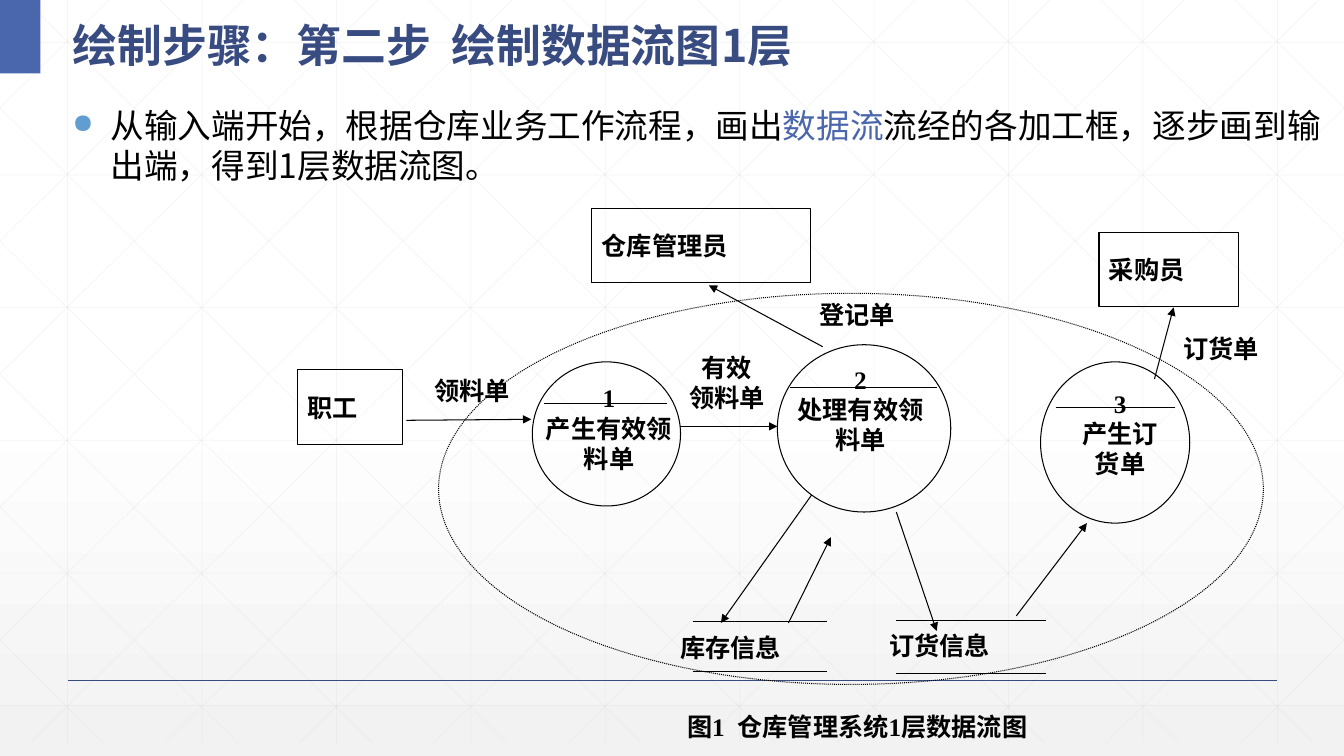
import copy

import lxml.etree
import pptx
import pptx.dml.color
import pptx.enum.dml
import pptx.enum.shapes
import pptx.enum.text
import pptx.oxml
import pptx.oxml.ns
import pptx.util

Inches = pptx.util.Inches
Pt = pptx.util.Pt
qn = pptx.oxml.ns.qn
ALIGN = pptx.enum.text.PP_ALIGN
ANCHOR = pptx.enum.text.MSO_ANCHOR
SHAPE = pptx.enum.shapes.MSO_SHAPE

# Content
WIDTH, HEIGHT = 13.33, 7.5
SANS, SERIF = "Noto Sans CJK SC", "Times New Roman"
BLACK, NAVY, BLUE, SKY, GRAY = "000000", "384C81", "4A66AC", "629DD1", "D9D9D9"

TITLE = "绘制步骤：第二步  绘制数据流图1层"
BODY = [
    ("从输入端开始，根据仓库业务工作流程，画出", BLACK),
    ("数据流", BLUE),
    ("流经的各加工框，逐步画到输出端，得到1层数据流图。", BLACK),
]
ENTITIES = [
    ("职工", (2.95, 3.67, 1.04, 0.74)),
    ("采购员", (10.9, 2.31, 1.38, 0.73)),
    ("仓库管理员", (5.87, 2.07, 2.17, 0.73)),
]
SYSTEM_BOUNDARY = (4.35, 2.91, 8.18, 3.88)
# Lines of text, text box, circle, divider (left, right, height)
PROCESSES = [
    (["1", "产生有效领料单"], (5.28, 3.52, 1.52, 1.45), (5.28, 3.59, 1.47, 1.43), (5.4, 6.62, 4)),
    (["2", "处理有效领料单"], (7.72, 3.33, 1.63, 1.46), (7.71, 3.42, 1.72, 1.66), (7.84, 9.29, 3.84)),
    (["3", "产生订", "货单"], (10.32, 3.49, 1.58, 1.62), (10.32, 3.59, 1.48, 1.6), (10.47, 11.65, 4.04)),
]
# Name, text box, rule ends, heights of the two rules
STORES = [
    ("订货信息", (8.72, 6.03, 1.77, 0.74), (8.89, 10.37), (6.16, 6.68)),
    ("库存信息", (6.65, 6.05, 1.77, 0.74), (6.87, 8.2), (6.17, 6.66)),
]
LABELS = [
    (["领料单"], (3.93, 3.66, 1.5, 0.42)),
    (["登记单 "], (7.78, 2.91, 1.5, 0.42)),
    (["订货单 "], (11.39, 3.25, 1.5, 0.42)),
    (["有效", "领料单"], (6.62, 3.58, 1.18, 0.42)),
    (["图1  仓库管理系统1层数据流图 "], (4.53, 6.91, 8, 0.59)),
]
FLOWS = [
    ((4.03, 4.17), (5.27, 4.16)),
    ((11.45, 3.76), (11.64, 3.05)),
    ((8.16, 3.44), (7.03, 2.83)),
    ((6.74, 4.23), (7.71, 4.23)),
    ((7.82, 6.18), (8.24, 5.33)),
    ((8.89, 5.08), (9.29, 6.26)),
    ((10.08, 6.11), (10.78, 5.19)),
    ((8.05, 4.91), (7.15, 6.18)),
]

deck = pptx.Presentation()
deck.slide_width, deck.slide_height = Inches(WIDTH), Inches(HEIGHT)
page = deck.slides.add_slide(deck.slide_layouts[5])


def color(value):
    return pptx.dml.color.RGBColor.from_string(value)


def add_line(start, end, line_color=BLACK, width=0.75, arrow=False, opacity=None):
    ends = [Inches(value) for value in (*start, *end)]
    line = page.shapes.add_connector(pptx.enum.shapes.MSO_CONNECTOR.STRAIGHT, *ends)
    line.line.color.rgb = color(line_color)
    line.line.width = Pt(width)
    properties = line.element.spPr
    if opacity:
        tone = properties.find(".//" + qn("a:srgbClr"))
        lxml.etree.SubElement(tone, qn("a:alpha"), val=str(opacity * 1000))
    if arrow:
        lxml.etree.SubElement(properties.find(qn("a:ln")), qn("a:tailEnd"), type="triangle")
    lxml.etree.SubElement(properties, qn("a:effectLst"))


def add_outline(kind, place, fill=None, dotted=False):
    shape = page.shapes.add_shape(kind, *map(Inches, place))
    shape.shadow.inherit = False
    if fill:
        shape.fill.solid()
        shape.fill.fore_color.rgb = color(fill)
        shape.line.fill.background()
        return shape
    shape.fill.background()
    shape.line.color.rgb = color(BLACK)
    shape.line.width = Pt(0.75)
    if dotted:
        shape.line.dash_style = pptx.enum.dml.MSO_LINE.ROUND_DOT
    return shape


def add_box(place):
    return page.shapes.add_textbox(*map(Inches, place))


def add_span(para, text, size=18, font=SERIF, text_color=BLACK, bold=True):
    span = para.add_run()
    span.text = text
    span.font.size, span.font.name, span.font.bold = Pt(size), font, bold
    span.font.color.rgb = color(text_color)
    if font == SANS:
        latin = span.font._element.find(qn("a:latin"))
        latin.addnext(latin.makeelement(qn("a:ea"), {"typeface": font}))


def write(shape, lines, align=ALIGN.CENTER, **style):
    frame = shape.text_frame
    frame.word_wrap = True
    frame.vertical_anchor = ANCHOR.MIDDLE
    for index, text in enumerate(lines):
        para = frame.add_paragraph() if index else frame.paragraphs[0]
        para.alignment = align
        add_span(para, text, **style)


# Background gradient: white to the middle, then light gray
background = page.background.fill
background.gradient()
background.gradient_angle = 270
first_stop, last_stop = background.gradient_stops
first_stop.color.rgb, first_stop.position = color("FFFFFF"), 0
last_stop.color.rgb, last_stop.position = color("F2F2F2"), 1
stops = page.background.element.find(".//" + qn("a:gsLst")) if hasattr(page.background, "element") \
    else page.element.find(".//" + qn("a:gsLst"))
middle_stop = copy.deepcopy(stops[0])
middle_stop.set("pos", "53000")
stops.insert(1, middle_stop)

# Background grid: uprights, levels and mirrored diagonals clipped to the page
FLOOR, STEP, SLOPE = 7.37, 4 / 3, 0.99
grid = []
for column in range(10):
    across = 0.67 + column * STEP
    grid.append(((across, 0), (across, FLOOR)))
for row in range(6):
    level = 0.42 + row * 1.316
    grid.append(((0, level), (WIDTH, level)))
for number in range(-5, 10):
    origin = 0.25 + number * STEP
    left, right = max(0, origin), min(WIDTH, origin + FLOOR / SLOPE)
    top, bottom = (left - origin) * SLOPE, (right - origin) * SLOPE
    grid.append(((left, top), (right, bottom)))
    grid.append(((WIDTH - left, top), (WIDTH - right, bottom)))
for start, end in grid:
    add_line(start, end, GRAY, 0.5, opacity=25)
add_line((0.67, 6.75), (12.67, 6.75), NAVY, 1)
add_outline(SHAPE.RECTANGLE, (0, 0, 0.4, 0.73), fill=BLUE)

# Title, raised above the grid
title = page.shapes.title
title.element.getparent().append(title.element)
title.left, title.top, title.width, title.height = map(Inches, (0.62, 0, 8.03, 0.73))
write(title, [TITLE], ALIGN.LEFT, size=32, font=SANS, text_color=NAVY)
title.text_frame.auto_size = pptx.enum.text.MSO_AUTO_SIZE.NONE
title.text_frame.paragraphs[0].line_spacing = 1.3

# Bulleted body
body = add_box((0.62, 0.99, 12.72, 4.95))
body.text_frame.word_wrap = True
para = body.text_frame.paragraphs[0]
bullet = para._p.get_or_add_pPr()
bullet.set("marL", str(Inches(0.38)))
bullet.set("indent", str(-Inches(0.38)))
tint = lxml.etree.SubElement(bullet, qn("a:buClr"))
lxml.etree.SubElement(tint, qn("a:srgbClr"), val=SKY)
lxml.etree.SubElement(bullet, qn("a:buSzPct"), val="80000")
lxml.etree.SubElement(bullet, qn("a:buChar"), char="●")
for text, text_color in BODY:
    add_span(para, text, size=24, font=SANS, text_color=text_color, bold=False)

# Diagram: boundary, entities, processes, stores, labels and flows
add_outline(SHAPE.OVAL, SYSTEM_BOUNDARY, dotted=True)
for name, place in ENTITIES:
    write(add_outline(SHAPE.RECTANGLE, place), [name], ALIGN.JUSTIFY)
for lines, place, circle, (left, right, height) in PROCESSES:
    add_line((left, height), (right, height))
    add_outline(SHAPE.OVAL, circle)
    write(add_box(place), lines)
for name, place, (left, right), heights in STORES:
    for height in heights:
        add_line((left, height), (right, height))
    write(add_box(place), [name], ALIGN.JUSTIFY)
for lines, place in LABELS:
    write(add_box(place), lines)
for start, end in FLOWS:
    add_line(start, end, arrow=True)

deck.save("out.pptx")
